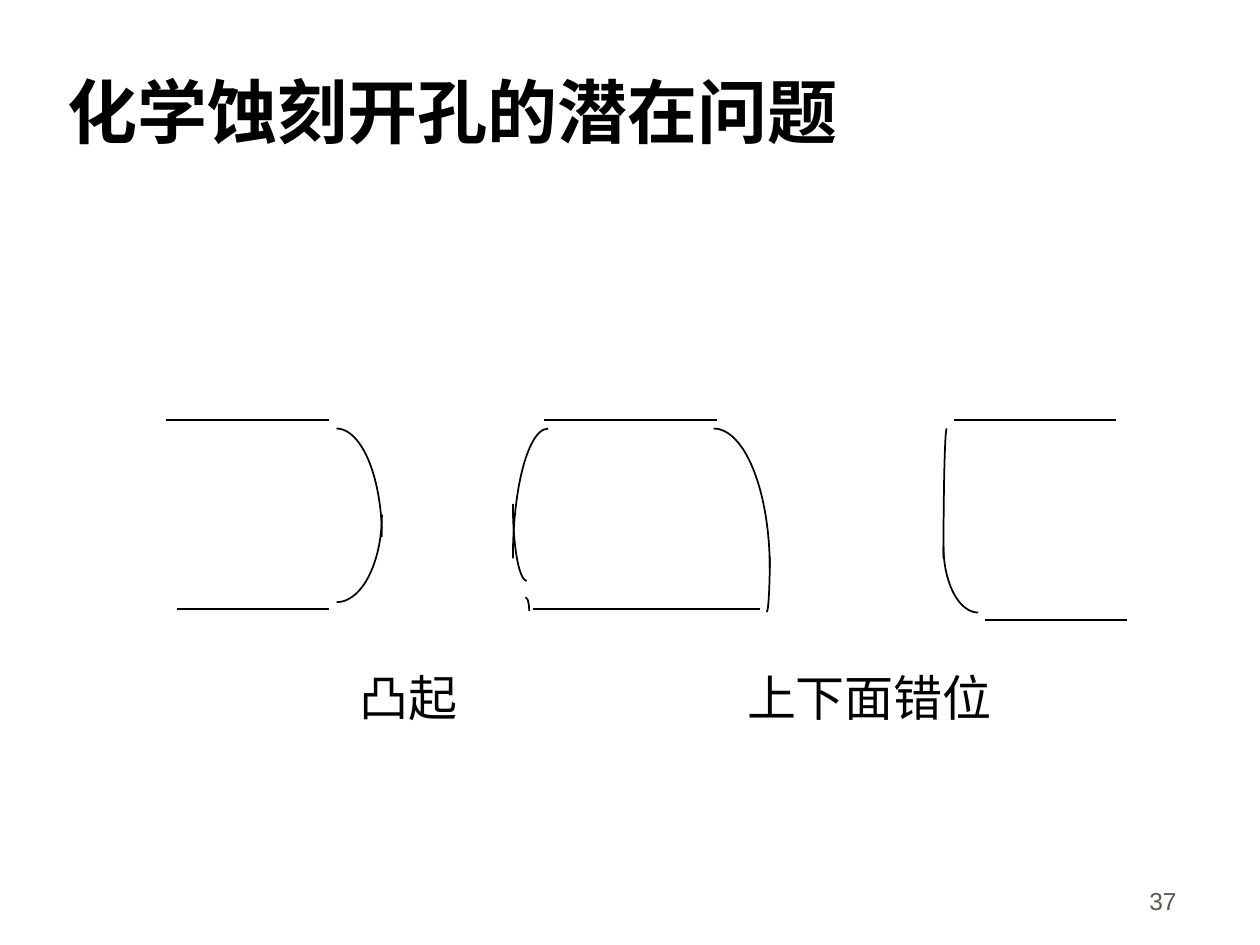
"""Build a slide on hole defects left by chemical etching."""
from lxml import etree
from pptx import Presentation
from pptx.dml.color import RGBColor
from pptx.enum.shapes import MSO_CONNECTOR, MSO_SHAPE
from pptx.enum.text import MSO_ANCHOR, MSO_AUTO_SIZE, PP_ALIGN
from pptx.oxml.ns import qn
from pptx.util import Cm, Pt

STRAIGHT = MSO_CONNECTOR.STRAIGHT
ARC = MSO_SHAPE.ARC
TOP, MIDDLE, BOTTOM = MSO_ANCHOR.TOP, MSO_ANCHOR.MIDDLE, MSO_ANCHOR.BOTTOM
LEFT, RIGHT = PP_ALIGN.LEFT, PP_ALIGN.RIGHT
FIT_SHAPE = MSO_AUTO_SIZE.SHAPE_TO_FIT_TEXT

BLACK = "000000"
GREY = "5E574E"
SERIF = "Times New Roman"
SANS = "Arial"

QUARTER_STARTS = {"lower right": 0, "lower left": 90, "upper left": 180, "upper right": 270}
ANGLE_UNIT = 0.6

SURFACES = [
    (3.35, 6.63, 8.46),
    (10.97, 14.45, 8.46),
    (19.23, 22.5, 8.46),
    (3.56, 6.63, 12.27),
    (10.74, 15.32, 12.27),
    (19.86, 22.71, 12.5),
]
WALLS = [
    ("upper right", 5.87, 8.64, 1.83, 4.37),
    ("lower right", 5.87, 8.61, 1.83, 3.53),
    ("upper left", 10.34, 8.64, 1.42, 5.23),
    ("lower left", 10.34, 8.61, 0.56, 3.1),
    ("upper right", 10.52, 12.04, 0.15, 0.56),
    ("upper right", 13.26, 8.64, 2.26, 5.64),
    ("upper left", 19.02, 8.64, 0.13, 5.23),
    ("lower left", 19.02, 9.68, 1.4, 2.67),
    ("lower right", 15.39, 10.08, 0.13, 2.26),
]


def color(value):
    """Return the colour of a hex string."""
    return RGBColor.from_string(value)


def style_line(shape):
    """Give a shape the thin black drawing line."""
    shape.line.color.rgb = color(BLACK)
    shape.line.width = Pt(1)


def add_surface(slide, start, end, height):
    """Draw a horizontal surface of the metal sheet."""
    connector = slide.shapes.add_connector(STRAIGHT, Cm(start), Cm(height), Cm(end), Cm(height))
    style_line(connector)
    etree.SubElement(connector._element.spPr, qn("a:effectLst"))


def add_wall(slide, quarter, left, top, width, height):
    """Draw one quarter of an ellipse as part of an etched wall."""
    arc = slide.shapes.add_shape(ARC, Cm(left), Cm(top), Cm(width), Cm(height))
    start = QUARTER_STARTS[quarter]
    arc.adjustments[0] = start * ANGLE_UNIT
    arc.adjustments[1] = (start + 90) % 360 * ANGLE_UNIT
    arc.shadow.inherit = False
    arc.fill.background()
    style_line(arc)


def add_text(slide, text, box, size, font=SERIF, fill=BLACK, bold=False,
             anchor=TOP, align=LEFT, wrap=True):
    """Add a text box with one paragraph."""
    shape = slide.shapes.add_textbox(*map(Cm, box))
    frame = shape.text_frame
    frame.word_wrap = wrap
    frame.vertical_anchor = anchor
    if not wrap:
        frame.auto_size = FIT_SHAPE
    paragraph = frame.paragraphs[0]
    paragraph.text = text
    paragraph.alignment = align
    paragraph.font.name = font
    paragraph.font.size = Pt(size)
    paragraph.font.bold = bold
    paragraph.font.color.rgb = color(fill)


def main():
    """Build and save the slide."""
    presentation = Presentation()
    presentation.slide_width, presentation.slide_height = Cm(25.4), Cm(19.05)
    slide = presentation.slides.add_slide(presentation.slide_layouts[6])
    add_text(slide, "化学蚀刻开孔的潜在问题", (1.12, 0.64, 21.59, 3.18), 40, bold=True, anchor=MIDDLE)
    for surface in SURFACES:
        add_surface(slide, *surface)
    for wall in WALLS:
        add_wall(slide, *wall)
    add_text(slide, "凸起", (6.99, 13.34, 2.49, 1.42), 28, wrap=False)
    add_text(slide, "上下面错位", (14.81, 13.34, 5.44, 1.42), 28, wrap=False)
    add_text(slide, "37", (18.69, 17.3, 5.28, 1.27), 14, SANS, GREY, anchor=BOTTOM, align=RIGHT)
    presentation.save("out.pptx")


if __name__ == "__main__":
    main()
